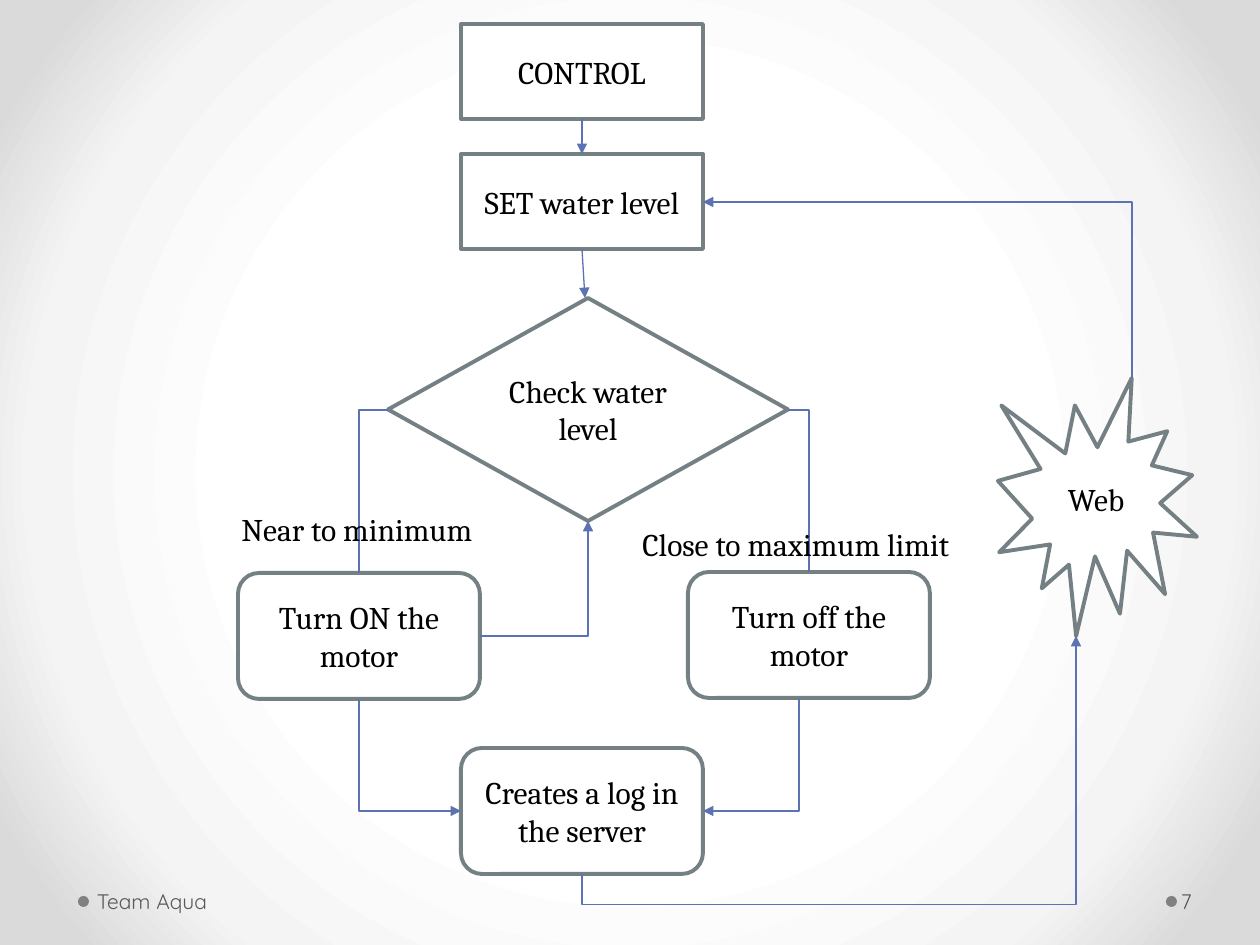
from dataclasses import dataclass

from pptx import Presentation
from pptx.dml.color import RGBColor
from pptx.enum.shapes import MSO_CONNECTOR as Link, MSO_SHAPE as Shape
from pptx.enum.text import MSO_ANCHOR as Anchor, PP_ALIGN as Align
from pptx.oxml import parse_xml
from pptx.oxml.ns import nsdecls, qn
from pptx.util import Emu, Pt

EMU_PER_PX = 914400 / 126
COLORS = {
    "box": "FFFFFF",
    "outline": "758085",
    "arrow": "5C72B2",
    "text": "000000",
    "dot": "808080",
    "footer": "595959",
}
BACKDROP = {50: "FFFFFF", 76: "F4F4F4", 92: "DADADA"}
BODY_FONT, FOOTER_FONT = "Cambria", "Quicksand"


@dataclass(frozen=True)
class Step:
    text: str
    kind: Shape
    left: int
    top: int
    width: int
    height: int


@dataclass(frozen=True)
class Elbow:
    start: tuple[int, int]
    end: tuple[int, int]
    vertical_first: bool = True
    arrow: bool = True
    overshoot: int = 0  # px run away from the end before turning back


@dataclass(frozen=True)
class Label:
    text: str
    left: int
    top: int
    width: int
    height: int


@dataclass(frozen=True)
class Footer:
    label: Label
    dot_left: int
    insets: tuple[int, int]


BOX_W, SIDE_H = 242, 126
CENTER_LEFT = 461
START = Step("CONTROL", Shape.RECTANGLE, CENTER_LEFT, 24, BOX_W, 95)
SET_LEVEL = Step("SET water level", Shape.RECTANGLE, CENTER_LEFT, 154, BOX_W, 95)
CHECK = Step("Check water level", Shape.DIAMOND, 388, 298, 400, 223)
MOTOR_ON = Step("Turn ON the motor", Shape.ROUNDED_RECTANGLE, 238, 573, BOX_W, SIDE_H)
MOTOR_OFF = Step("Turn off the motor", Shape.ROUNDED_RECTANGLE, 688, 572, BOX_W, SIDE_H)
LOG = Step("Creates a log in the server", Shape.ROUNDED_RECTANGLE,
           CENTER_LEFT, 748, BOX_W, SIDE_H)
WEB = Step("Web", Shape.EXPLOSION1, 998, 378, 199, 258)
STEPS = (START, SET_LEVEL, CHECK, MOTOR_ON, MOTOR_OFF, LOG, WEB)

ELBOWS = (
    Elbow((388, 410), (359, 573), vertical_first=False, arrow=False),
    Elbow((788, 410), (809, 572), vertical_first=False, arrow=False),
    Elbow((480, 636), (588, 521), vertical_first=False),
    Elbow((359, 699), (461, 811)),
    Elbow((799, 699), (703, 811)),
    Elbow((582, 874), (1076, 636), overshoot=31),
    Elbow((1132, 378), (703, 202)),
)
BRANCH_LABELS = (
    Label("Near to minimum", 229, 504, 305, 89),
    Label("Close to maximum limit", 630, 519, 397, 50),
)
FOOTERS = (
    Footer(Label("Team Aqua", 91, 876, 392, 50), 78, (6, 13)),
    Footer(Label("7", 1177, 876, 77, 50), 1166, (4, 6)),
)


def px(length: float) -> Emu:
    return Emu(round(length * EMU_PER_PX))


def color(name: str) -> RGBColor:
    return RGBColor.from_string(COLORS[name])


def write(frame, text: str, font: str, size: int, ink: str, align=Align.LEFT) -> None:
    frame.word_wrap = True
    paragraph = frame.paragraphs[0]
    paragraph.text = text
    paragraph.alignment = align
    paragraph.font.name = font
    paragraph.font.size = Pt(size)
    paragraph.font.color.rgb = color(ink)


def paint_backdrop(slide) -> None:
    """Radial gradient from the slide centre."""
    stops = "".join(
        f'<a:gs pos="{percent * 1000}"><a:srgbClr val="{tint}"/></a:gs>'
        for percent, tint in BACKDROP.items())
    slide.element.cSld.insert(0, parse_xml(
        f'<p:bg {nsdecls("p", "a")}><p:bgPr><a:gradFill rotWithShape="1">'
        f'<a:gsLst>{stops}</a:gsLst><a:path path="circle">'
        '<a:fillToRect l="50000" t="50000" r="50000" b="50000"/></a:path>'
        '</a:gradFill><a:effectLst/></p:bgPr></p:bg>'))


def add_step(slide, step: Step):
    box = slide.shapes.add_shape(
        step.kind, px(step.left), px(step.top), px(step.width), px(step.height))
    box.shadow.inherit = False
    box.fill.solid()
    box.fill.fore_color.rgb = color("box")
    box.line.color.rgb = color("outline")
    box.line.width = Pt(2.25)
    box.text_frame.vertical_anchor = Anchor.MIDDLE
    write(box.text_frame, step.text, BODY_FONT, 18, "text", Align.CENTER)
    return box


def add_label(slide, label: Label, font: str = BODY_FONT, size: int = 18,
              ink: str = "text"):
    box = slide.shapes.add_textbox(
        px(label.left), px(label.top), px(label.width), px(label.height))
    write(box.text_frame, label.text, font, size, ink)
    return box.text_frame


def add_footer(slide, footer: Footer) -> None:
    dot = slide.shapes.add_shape(Shape.OVAL, px(footer.dot_left), px(896), px(11), px(11))
    dot.shadow.inherit = False
    dot.fill.solid()
    dot.fill.fore_color.rgb = color("dot")
    dot.line.fill.background()
    frame = add_label(slide, footer.label, FOOTER_FONT, 12, "footer")
    frame.vertical_anchor = Anchor.MIDDLE
    frame.margin_left, frame.margin_right = map(px, footer.insets)


def add_link(slide, kind: Link, start: tuple[int, int], end: tuple[int, int],
             arrow: bool = True):
    link = slide.shapes.add_connector(kind, *map(px, start + end))
    link.line.color.rgb = color("arrow")
    link.line.width = Pt(0.75)
    if arrow:
        link.line._get_or_add_ln().append(
            parse_xml(f'<a:tailEnd {nsdecls("a")} type="triangle"/>'))
    link._element.spPr.append(parse_xml(f'<a:effectLst {nsdecls("a")}/>'))
    return link


def add_elbow(slide, elbow: Elbow) -> None:
    link = add_link(slide, Link.ELBOW, elbow.start, elbow.end, elbow.arrow)
    properties = link._element.spPr
    geometry = properties.find(qn("a:prstGeom"))
    (x1, y1), (x2, y2) = elbow.start, elbow.end
    run, rise = abs(x2 - x1), abs(y2 - y1)
    if elbow.overshoot:
        bend = -round(elbow.overshoot / rise * 100000)
        geometry.find(qn("a:avLst")).append(parse_xml(
            f'<a:gd {nsdecls("a")} name="adj1" fmla="val {bend}"/>'))
    else:
        geometry.set("prst", "bentConnector2")
    if elbow.vertical_first:
        # A quarter turn swaps the sides about the same centre.
        link.left, link.top = px((x1 + x2 - rise) / 2), px((y1 + y2 - run) / 2)
        link.width, link.height = px(rise), px(run)
        link.rotation = 90
        frame = properties.find(qn("a:xfrm"))
        frame.set("rot", str(90 * 60000))
        frame.set("flipH", str(int(y2 < y1)))
        frame.set("flipV", str(int(x2 > x1)))


def main() -> None:
    deck = Presentation()
    deck.slide_width, deck.slide_height = px(1260), px(945)
    slide = deck.slides.add_slide(deck.slide_layouts[6])
    paint_backdrop(slide)
    for footer in FOOTERS:
        add_footer(slide, footer)
    boxes = {step: add_step(slide, step) for step in STEPS}
    to_level = add_link(slide, Link.STRAIGHT, (582, 119), (582, 154))
    to_level.begin_connect(boxes[START], 2)
    to_level.end_connect(boxes[SET_LEVEL], 0)
    to_check = add_link(slide, Link.STRAIGHT, (582, 249), (585, 298))
    to_check.begin_connect(boxes[SET_LEVEL], 2)
    for elbow in ELBOWS:
        add_elbow(slide, elbow)
    for label in BRANCH_LABELS:
        add_label(slide, label)
    deck.save("out.pptx")


if __name__ == "__main__":
    main()
